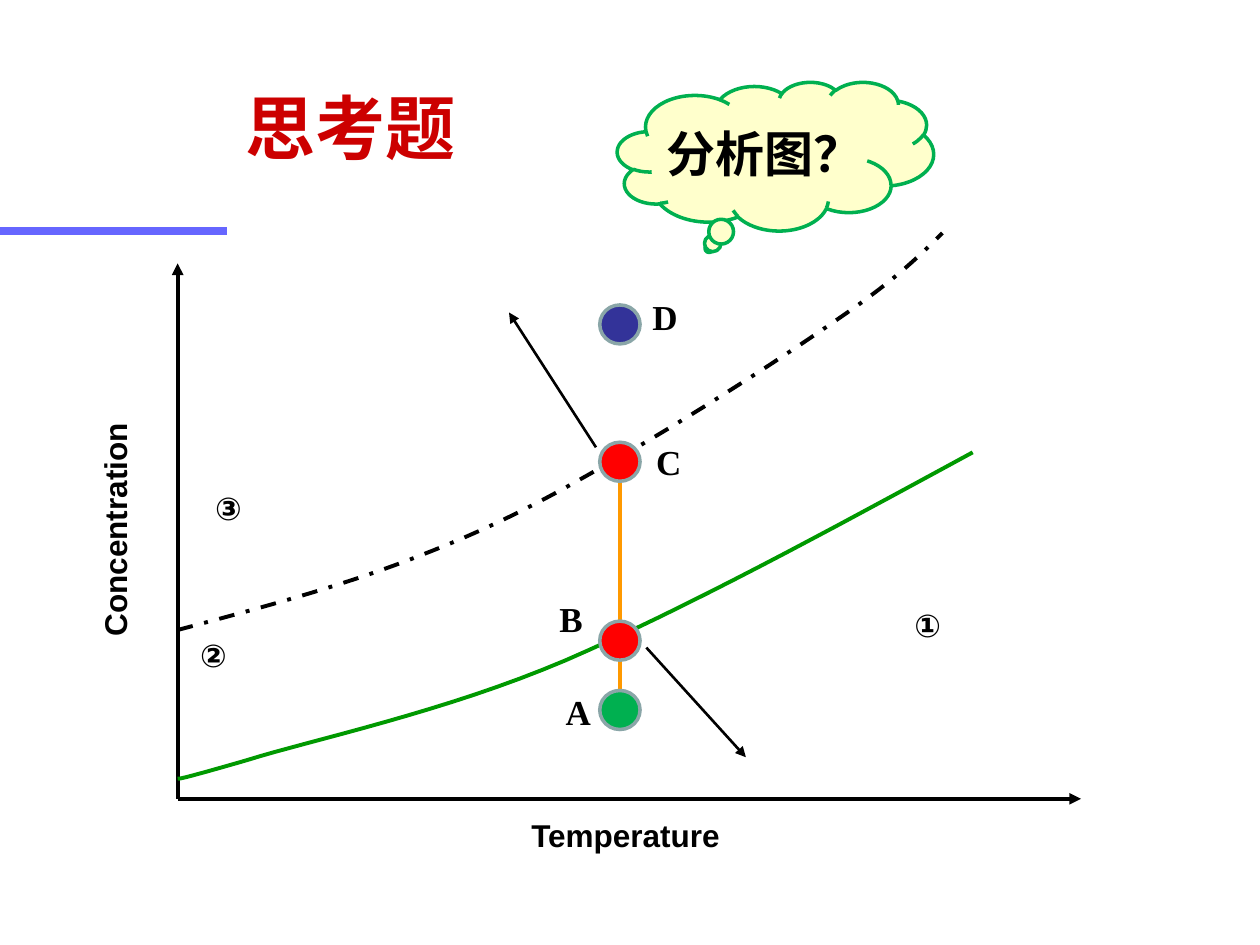
from pptx import Presentation
from pptx.dml.color import RGBColor
from pptx.enum.dml import MSO_LINE
from pptx.enum.shapes import MSO_CONNECTOR, MSO_SHAPE
from pptx.enum.text import MSO_ANCHOR as ANCHOR, MSO_AUTO_SIZE as AUTO, PP_ALIGN as ALIGN
from pptx.oxml.ns import qn
from pptx.util import Inches, Pt
from lxml.etree import SubElement

BLACK, RED, GREEN, ORANGE = "000000", "FF0000", "00B050", "FF9900"
LABEL = dict(name="Arial", size=Pt(18), bold=True)
NUMBER = dict(LABEL, italic=True)
POINT = dict(name="Times New Roman", size=Pt(20), bold=True)
ORIGIN = (1.41, 6.34)
POINT_X = 4.92
DOT_W, DOT_H = 0.32, 0.31


def rgb(color):
    return RGBColor.from_string(color)


def set_line(sp, color, width):
    sp.line.color.rgb = rgb(color)
    sp.line.width = Pt(width)


def write(tf, text, fmt, color=BLACK, align=ALIGN.LEFT):
    p = tf.paragraphs[0]
    p.alignment = align
    r = p.add_run()
    r.text = text
    for key, value in fmt.items():
        setattr(r.font, key, value)
    r.font.color.rgb = rgb(color)


def add_label(slide, text, box, fmt, align=ALIGN.LEFT, wrap=True):
    sp = slide.shapes.add_textbox(*map(Inches, box))
    tf = sp.text_frame
    tf.word_wrap = wrap
    tf.auto_size = AUTO.SHAPE_TO_FIT_TEXT
    write(tf, text, fmt, align=align)
    return sp


def add_line(slide, start, end, color, width, arrow=True):
    sp = slide.shapes.add_connector(MSO_CONNECTOR.STRAIGHT, *map(Inches, start + end))
    set_line(sp, color, width)
    if arrow:
        line = sp._element.spPr.find(qn("a:ln"))
        SubElement(line, qn("a:tailEnd"), type="triangle")
    SubElement(sp._element.spPr, qn("a:effectLst"))


def bezier(p0, p1, p2, p3, steps=16):
    """Points along a cubic curve, without its start."""
    for i in range(1, steps + 1):
        t = i / steps
        weights = ((1 - t) ** 3, 3 * t * (1 - t) ** 2, 3 * t * t * (1 - t), t ** 3)
        yield tuple(sum(w * p[axis] for w, p in zip(weights, (p0, p1, p2, p3)))
                    for axis in (0, 1))


def add_curve(slide, knots, color, dash=None):
    """Draw joined cubic curves: a start, then three knots for each segment."""
    points = [pt for i in range(0, len(knots) - 1, 3) for pt in bezier(*knots[i:i + 4])]
    builder = slide.shapes.build_freeform(*map(Inches, knots[0]), scale=1.0)
    builder.add_line_segments([tuple(map(Inches, pt)) for pt in points], close=False)
    sp = builder.convert_to_shape()
    sp.shadow.inherit = False
    sp.fill.background()
    set_line(sp, color, 2.25)
    if dash:
        sp.line.dash_style = dash


def add_filled(slide, kind, box, fill, line):
    sp = slide.shapes.add_shape(kind, *map(Inches, box))
    sp.shadow.inherit = False
    sp.fill.solid()
    sp.fill.fore_color.rgb = rgb(fill)
    set_line(sp, line, 2)
    return sp


def add_title(slide, text):
    sp = slide.shapes.title
    sp.left, sp.top, sp.width, sp.height = map(Inches, (1.85, 0.65, 7.66, 0.71))
    sp.text_frame.vertical_anchor = ANCHOR.MIDDLE
    write(sp.text_frame, text, dict(LABEL, size=Pt(40)), "CC0000")


def add_callout(slide, text):
    sp = add_filled(slide, MSO_SHAPE.CLOUD_CALLOUT, (4.9, 0.65, 2.51, 1.18), "FFFFCC", GREEN)
    sp.adjustments[0], sp.adjustments[1] = -0.21, 0.62
    tf = sp.text_frame
    tf.word_wrap = False
    tf.vertical_anchor = ANCHOR.MIDDLE
    write(tf, text, dict(LABEL, size=Pt(28)), align=ALIGN.CENTER)


def main():
    prs = Presentation()
    prs.slide_width, prs.slide_height = Inches(10), Inches(7.5)
    slide = prs.slides.add_slide(prs.slide_layouts[5])

    # Heading
    add_line(slide, (0, 1.83), (1.8, 1.83), "6666FF", 4.5, arrow=False)
    add_title(slide, "思考题")

    # Axes and their names
    for end in ((8.58, 6.34), (1.41, 2.09)):
        add_line(slide, ORIGIN, end, BLACK, 2.25)
    add_label(slide, "Temperature", (3.98, 6.43, 1.97, 0.4), LABEL, ALIGN.CENTER)
    name = add_label(slide, "Concentration", (0.71, 3.35, 0.5, 1.8), LABEL, ALIGN.CENTER, False)
    name.text_frame._txBody.bodyPr.set("vert", "eaVert")
    name.rotation = 180

    # Dashed curve and solid curve
    add_curve(slide, [(1.41, 5), (2.05, 4.83), (2.68, 4.66), (3.23, 4.45),
                      (3.78, 4.24), (4.16, 4.06), (4.72, 3.74),
                      (5.29, 3.43), (6.15, 2.88), (6.61, 2.56),
                      (7.07, 2.25), (7.28, 2.05), (7.48, 1.85)], BLACK, MSO_LINE.DASH_DOT)
    add_curve(slide, [(1.41, 6.18), (1.43, 6.18), (1.45, 6.18), (1.97, 6.03),
                      (2.48, 5.87), (3.53, 5.65), (4.49, 5.24),
                      (5.44, 4.83), (6.58, 4.21), (7.72, 3.59)], "009900")

    # Circled numbers
    for text, box in (("①", (7.16, 4.76, 2.44, 0.4)),
                      ("②", (1.49, 5, 4.33, 0.4)),
                      ("③", (1.61, 3.83, 4.1, 0.4))):
        add_label(slide, text, box, NUMBER)

    # Vertical lines from A to B to C, and thin arrows
    for start, end in ((5.64, 5.01), (5.01, 3.67)):
        add_line(slide, (POINT_X, start), (POINT_X, end), ORANGE, 2.25)
    for start, end in (((5.13, 5.14), (5.92, 6.01)), ((4.73, 3.55), (4.04, 2.48))):
        add_line(slide, start, end, BLACK, 1.5)

    # Points: letter, dot top, fill, label left and top
    for text, top, fill, x, y in (("A", 5.48, GREEN, 4.39, 5.43),
                                  ("B", 4.93, RED, 4.34, 4.69),
                                  ("C", 3.51, RED, 5.11, 3.45),
                                  ("D", 2.42, "333399", 5.08, 2.3)):
        box = (POINT_X - DOT_W / 2, top, DOT_W, DOT_H)
        add_filled(slide, MSO_SHAPE.OVAL, box, fill, "8AA6A8")
        add_label(slide, text, (x, y, 0.38, 0.44), POINT)

    # Callout
    add_callout(slide, "分析图？")
    prs.save("out.pptx")


if __name__ == "__main__":
    main()
